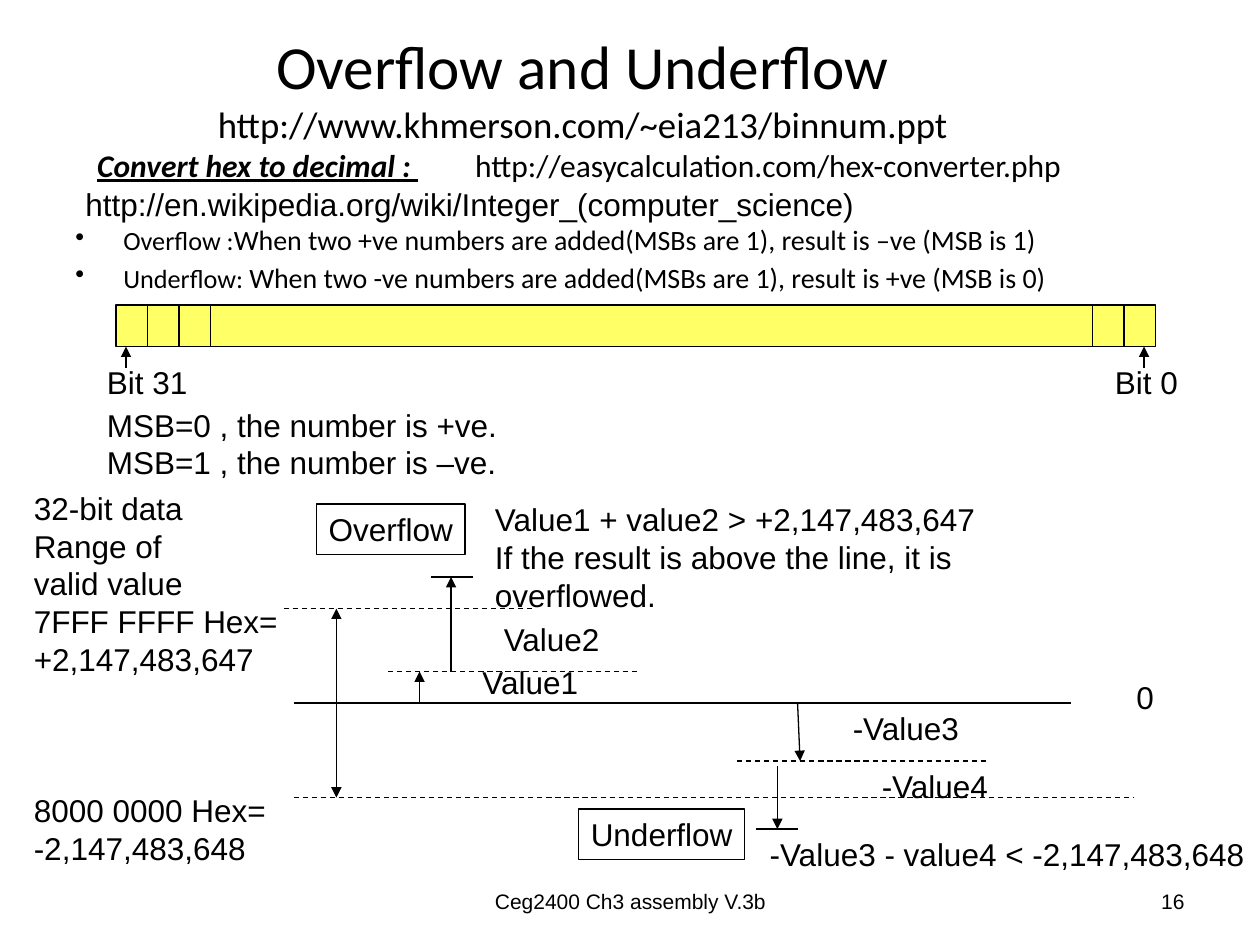
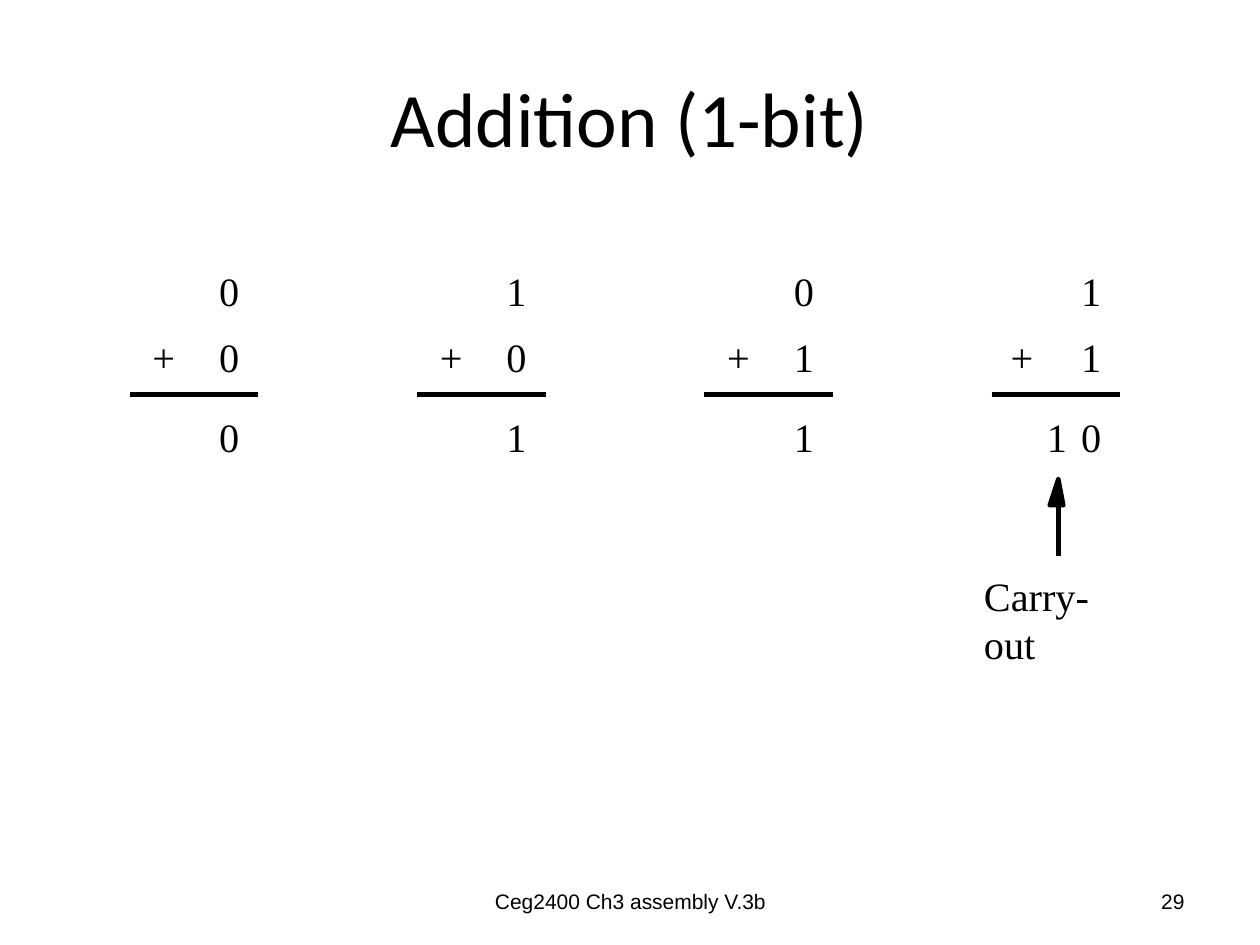
from pptx import Presentation
from pptx.dml.color import RGBColor
from pptx.enum.dml import MSO_LINE
from pptx.enum.shapes import MSO_CONNECTOR, MSO_SHAPE
from pptx.enum.text import MSO_ANCHOR, PP_ALIGN
from pptx.oxml.ns import qn
from pptx.util import Inches, Pt
from lxml import etree

LEFT, MID, RIGHT = PP_ALIGN.LEFT, PP_ALIGN.CENTER, PP_ALIGN.RIGHT
TOP, HALF = MSO_ANCHOR.TOP, MSO_ANCHOR.MIDDLE
DASH = MSO_LINE.DASH
RECT = MSO_SHAPE.RECTANGLE
STRAIGHT = MSO_CONNECTOR.STRAIGHT
COLORS = {"ink": "000000", "bits": "FFFF66"}
INK = RGBColor.from_string(COLORS["ink"])
SANS, HEAD, SERIF = "Arial", "Calibri", "Times New Roman"


def write(slide, at, text, size=18, font=SANS, align=LEFT, anchor=TOP, wrap=False,
          inset=True, framed=False, bullet=False, gaps=(), space=None, tab=None):
    """Write lines of text; a line is a string or a list of (text, format) runs."""
    at = [Inches(v) for v in at]
    if framed:
        box = slide.shapes.add_shape(RECT, *at)
        box.shadow.inherit = False
        box.fill.background()
        box.line.color.rgb = INK
        box.line.width = Pt(0.75)
    else:
        box = slide.shapes.add_textbox(*at)
    frame = box.text_frame
    frame.word_wrap = wrap
    frame.vertical_anchor = anchor
    pad = (0.1, 0.05) if inset else (0, 0)
    frame.margin_left = frame.margin_right = Inches(pad[0])
    frame.margin_top = frame.margin_bottom = Inches(pad[1])
    lines = [text] if isinstance(text, str) else text
    for n, line in enumerate(lines):
        para = frame.paragraphs[0] if n == 0 else frame.add_paragraph()
        para.alignment = align
        if space:
            para.line_spacing = space
        if n < len(gaps) and gaps[n]:
            para.space_before = Pt(gaps[n])
        props = para._p.get_or_add_pPr()
        if bullet:
            props.set("marL", str(Inches(0.38)))
            props.set("indent", str(Inches(-0.38)))
            etree.SubElement(props, qn("a:buChar")).set("char", "•")
        if tab:
            stops = etree.SubElement(props, qn("a:tabLst"))
            stop = etree.SubElement(stops, qn("a:tab"))
            stop.set("pos", str(Inches(tab)))
            stop.set("algn", "l")
        runs = [(line, {})] if isinstance(line, str) else line
        for part, look in runs:
            if part == "\n":
                para.add_line_break()
                continue
            run = para.add_run()
            run.text = part
            run.font.name = font
            run.font.size = Pt(look.get("size", size))
            run.font.color.rgb = INK
            if look.get("strong"):
                run.font.bold = run.font.italic = run.font.underline = True


def draw(slide, x1, y1, x2, y2, width=0.75, dash=None, ends=()):
    """Draw a line; ends names the ends that carry an arrowhead."""
    line = slide.shapes.add_connector(STRAIGHT, *[Inches(v) for v in (x1, y1, x2, y2)])
    line.line.color.rgb = INK
    line.line.width = Pt(width)
    if dash:
        line.line.dash_style = dash
    for end in ends:
        etree.SubElement(line.line._get_or_add_ln(), qn("a:" + end)).set("type", "triangle")
    etree.SubElement(line._element.spPr, qn("a:effectLst"))


prs = Presentation()
prs.slide_width, prs.slide_height = Inches(10), Inches(7.5)

# Both slides: title and footer
range_title = [[
    ("Overflow and Underflow ", {"size": 35}),
    ("http://www.khmerson.com/~eia213/binnum.ppt", {"size": 21}),
    ("\n", {}),
    ("Convert hex to decimal : ", {"strong": True}),
    ("\thttp://easycalculation.com/hex-converter.php ", {}),
]]
pages = []
for title, at, size, tab, number in [
    (range_title, (0.5, 0.13, 8.25, 1.42), 18, 3, "16"),
    ("Addition (1-bit)", (0.5, 0.3, 9, 1.25), 44, None, "29"),
]:
    page = prs.slides.add_slide(prs.slide_layouts[6])
    write(page, at, title, size=size, font=HEAD, align=MID, anchor=HALF, wrap=True, tab=tab)
    write(page, (3.42, 6.95, 3.17, 0.4), "Ceg2400 Ch3 assembly V.3b",
          size=12, align=MID, anchor=HALF, wrap=True)
    write(page, (7.17, 6.95, 2.33, 0.4), number, size=12, align=RIGHT, anchor=HALF, wrap=True)
    pages.append(page)
flow, sums = pages

# Slide 1: definitions
write(flow, (0.58, 1.42, 6.3, 0.4), "http://en.wikipedia.org/wiki/Integer_(computer_science)")
write(flow, (0.5, 1.75, 9.25, 0.65), [
    [("Overflow :", {"size": 15}),
     ("When two +ve numbers are added(MSBs are 1), result is –ve (MSB is 1)", {})],
    [("Underflow: ", {"size": 15}),
     ("When two -ve numbers are added(MSBs are 1), result is +ve (MSB is 0)", {})],
], size=16, font=HEAD, wrap=True, bullet=True, gaps=(0, 4), space=0.9)

# Slide 1: 32-bit word
word = flow.shapes.add_shape(RECT, Inches(0.92), Inches(2.42), Inches(8.25), Inches(0.33))
word.shadow.inherit = False
word.fill.solid()
word.fill.fore_color.rgb = RGBColor.from_string(COLORS["bits"])
word.line.color.rgb = INK
word.line.width = Pt(0.75)
for x in (1.17, 1.42, 1.67, 8.67, 8.92):
    draw(flow, x, 2.42, x, 2.75)
for x in (1, 9.08):
    draw(flow, x, 2.92, x, 2.75, ends=["tailEnd"])
write(flow, (0.75, 2.83, 8.7, 0.4), "Bit 31\tBit 0", tab=8)
write(flow, (0.75, 3.17, 7.08, 0.7),
      ["MSB=0 , the number is +ve.", "MSB=1 , the number is –ve."], wrap=True)

# Slide 1: levels of the value chart
ZERO, HIGH, LOW, SUM, DIFF = 5.58, 4.83, 6.33, 5.33, 6.04
draw(flow, 2.33, ZERO, 8.5, ZERO)
for x1, x2, y in [(2.25, 4.25, HIGH), (2.33, 9, LOW), (3.08, 5.08, SUM), (5.85, 7.85, DIFF)]:
    draw(flow, x1, y, x2, y, dash=DASH)
for x, y in [(3.42, 4.58), (6, 6.58)]:
    draw(flow, x, y, x + 0.33, y)

# Slide 1: arrows between the levels
draw(flow, 2.67, HIGH, 2.67, LOW, ends=["headEnd", "tailEnd"])
for x1, y1, x2, y2 in [
    (3.33, ZERO, 3.33, SUM), (3.58, SUM, 3.58, 4.58),
    (6.33, ZERO, 6.35, DIFF), (6.17, 6.08, 6.17, 6.58),
]:
    draw(flow, x1, y1, x2, y2, ends=["tailEnd"])

# Slide 1: labels of the value chart
write(flow, (0.17, 3.83, 2.14, 3.4), [
    "32-bit data", "Range of", "valid value", "7FFF FFFF Hex=", "+2,147,483,647",
    "8000 0000 Hex=", "-2,147,483,648",
], gaps=(0, 0, 0, 0, 0, 65))
for x, y, w, label in [
    (8.92, 5.33, 0.34, "0"),
    (3.9, 4.87, 0.98, "Value2"),
    (3.73, 5.21, 0.98, "Value1"),
    (6.67, 5.58, 1.06, "-Value3"),
    (6.9, 6.04, 1.06, "-Value4"),
    (6.01, 6.58, 3.99, "-Value3 - value4 < -2,147,483,648"),
]:
    write(flow, (x, y, w, 0.4), label)
write(flow, (3.83, 3.92, 5.17, 0.7), [
    "Value1 + value2 > +2,147,483,647",
    "If the result is above the line, it is overflowed.",
])
write(flow, (2.51, 4, 1.18, 0.4), "Overflow", framed=True)
write(flow, (4.59, 6.42, 1.32, 0.4), "Underflow", framed=True)

# Slide 2: four sums in equal columns
for n, (top, add, total, plus) in enumerate([
    ("0", "0", "0", 0.18), ("1", "0", "1", 0.18), ("0", "1", "1", 0.18), ("1", "1", "0", 0.15),
]):
    x = 1.03 + 2.28 * n
    for dx, y, w, sign in [
        (0.71, 2.11, 0.16, top), (plus, 2.64, 0.18, "+"),
        (0.71, 2.64, 0.16, add), (0.71, 3.27, 0.16, total),
    ]:
        write(sums, (x + dx, y, w, 0.38), sign, size=23, font=SERIF, inset=False)
    draw(sums, x, 3.13, x + 1.02, 3.13, width=2.5)

# Slide 2: carry
for x, y, w, label in [(8.31, 3.27, 0.16, "1"), (7.81, 4.53, 1.24, "Carry-out")]:
    write(sums, (x, y, w, 0.38), label, size=23, font=SERIF, inset=False)
draw(sums, 8.4, 3.99, 8.4, 4.41, width=2.5)
path = sums.shapes.build_freeform(Inches(8.44), Inches(4.01))
path.add_line_segments([(Inches(x), Inches(y)) for x, y in [(8.4, 3.8), (8.33, 4.01)]])
tip = path.convert_to_shape()
tip.shadow.inherit = False
tip.fill.solid()
tip.fill.fore_color.rgb = INK
tip.line.color.rgb = INK
tip.line.width = Pt(2.5)

prs.save("out.pptx")
